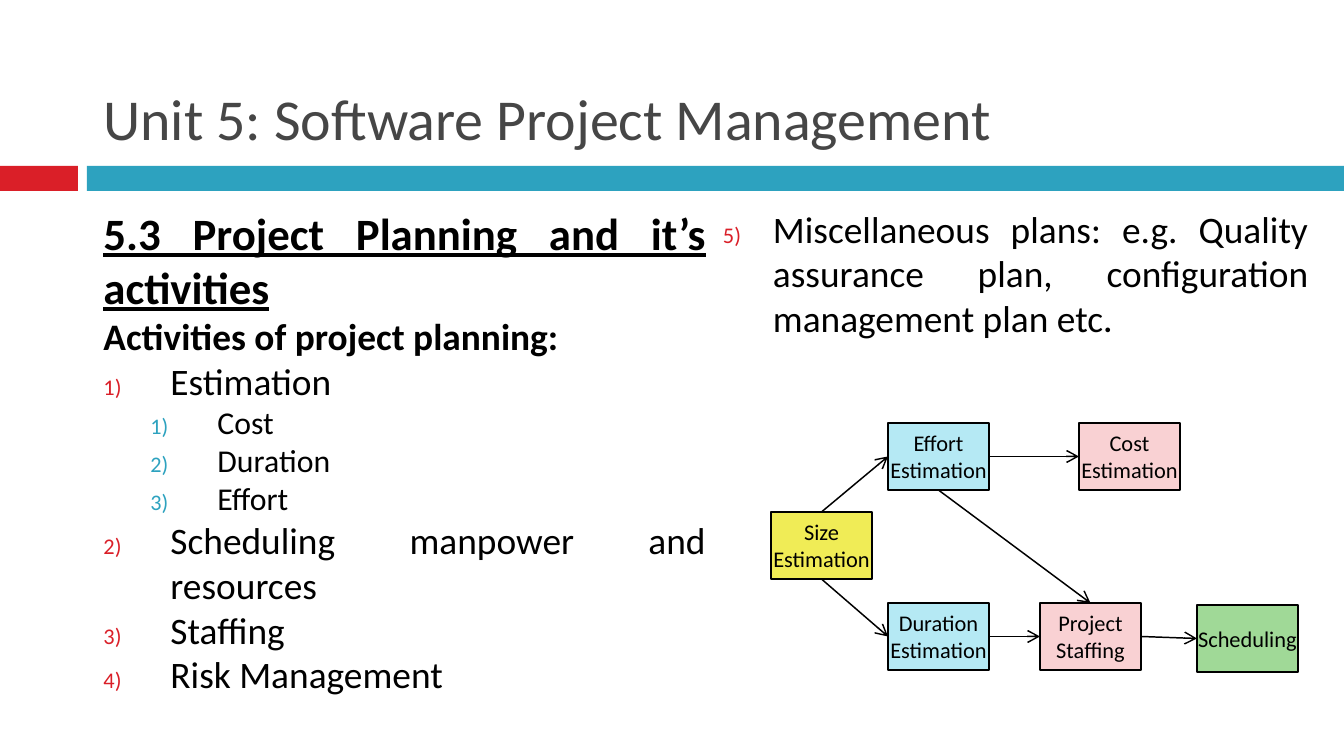
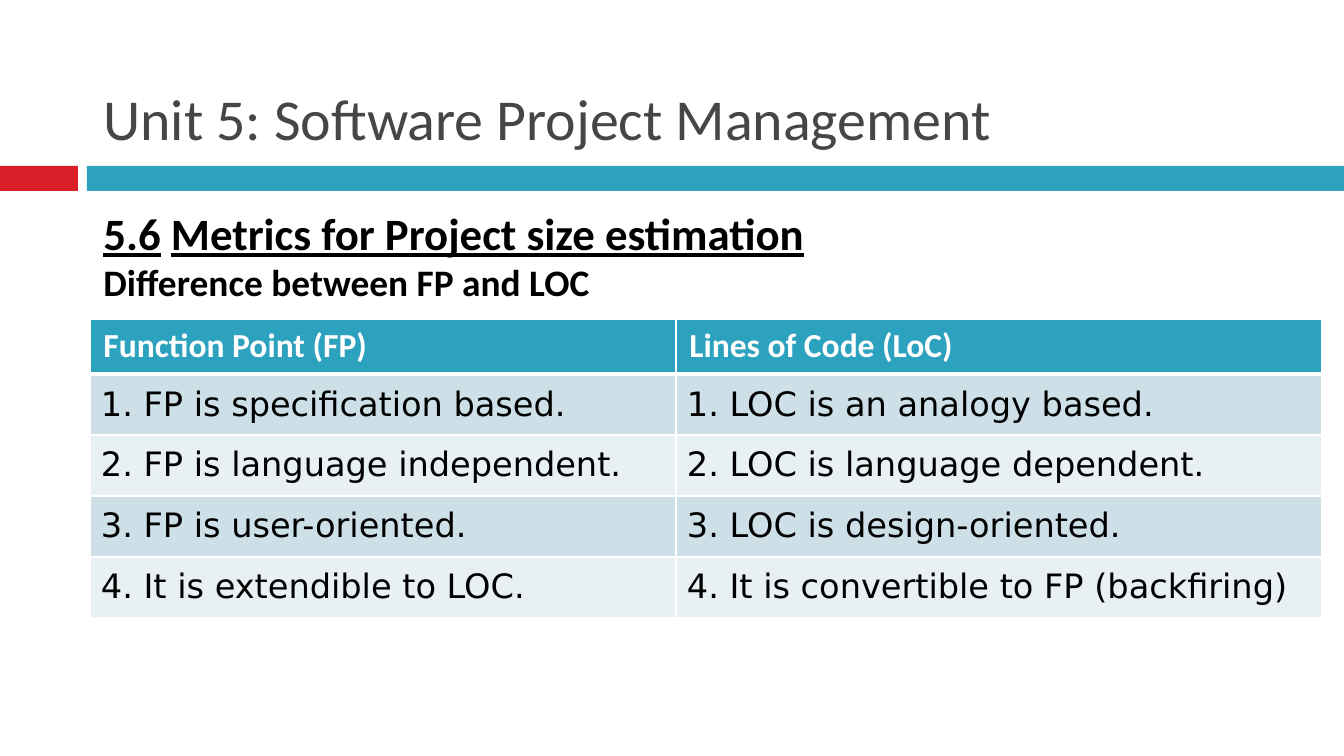
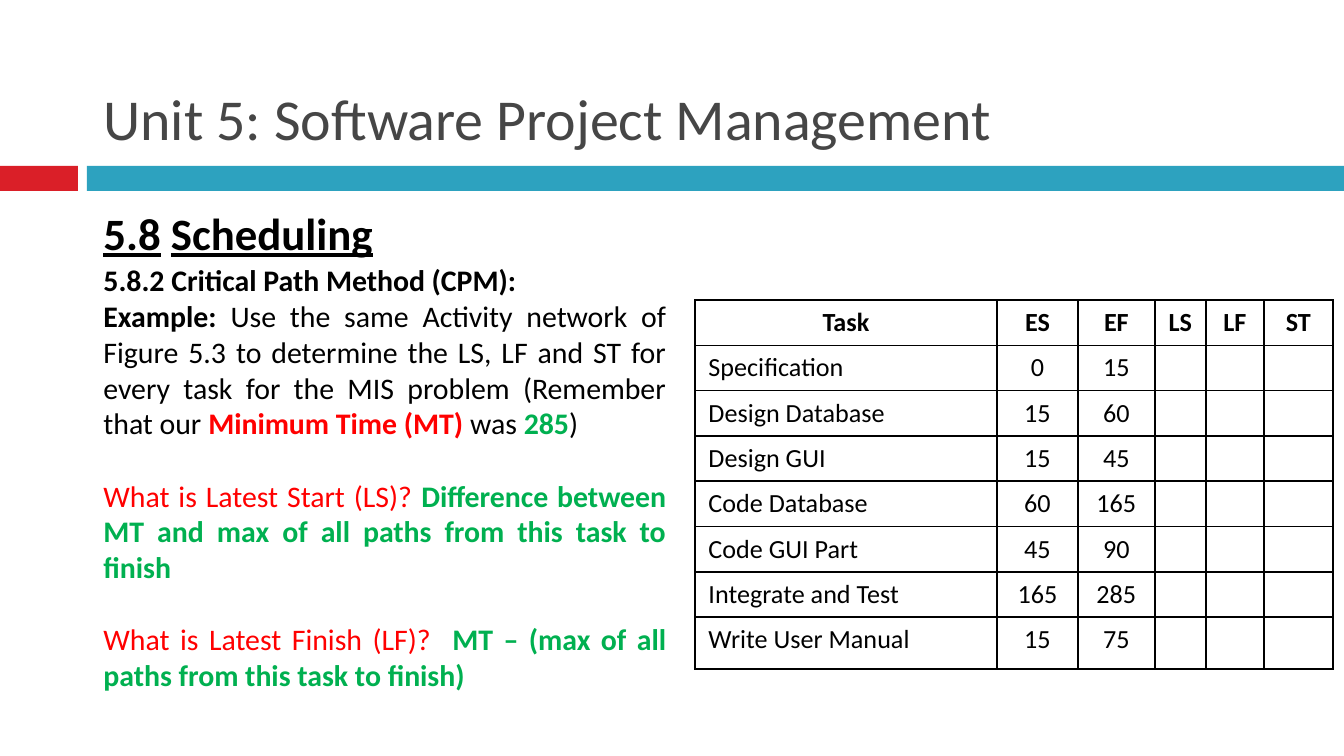
from dataclasses import dataclass

from lxml import etree
from pptx import Presentation
from pptx import util as u
from pptx.dml.color import RGBColor
from pptx.enum import shapes, text
from pptx.oxml.ns import qn

PX = 6804  # EMU in one px
SIDES = ("left", "top", "width", "height")
LEFT, CENTER, JUSTIFY = text.PP_ALIGN.LEFT, text.PP_ALIGN.CENTER, text.PP_ALIGN.JUSTIFY
TOP, BOTTOM = text.MSO_ANCHOR.TOP, text.MSO_ANCHOR.BOTTOM


@dataclass(frozen=True)
class Theme:
    font: str = "Calibri"
    table_font: str = "DejaVu Sans"
    ink: str = "000000"
    title_ink: str = "464646"
    white: str = "FFFFFF"
    red: str = "DA1F28"
    teal: str = "2DA2BF"
    question: str = "FF0000"
    answer: str = "00B050"
    yellow: str = "F0EC56"
    sky: str = "B5E9F4"
    pink: str = "F9D1D3"
    green: str = "A0D997"
    dark_row: str = "CDE0E8"
    light_row: str = "E8F0F4"
    title: int = 31
    heading: int = 24
    body: int = 20
    table: int = 18
    sub: int = 17
    example: int = 16
    schedule: int = 14
    node: int = 12


THEME = Theme()
PLAIN = {"name": THEME.font, "size": THEME.body, "bold": False, "underline": False, "color": THEME.ink}
BOLD = {"bold": True}
HEADING = {"size": THEME.heading, "bold": True, "underline": True}
HEADING_GAP = HEADING | {"underline": False}
EXAMPLE = {"size": THEME.example}
EXAMPLE_BOLD = EXAMPLE | BOLD
QUESTION = EXAMPLE | {"color": THEME.question}
ANSWER = EXAMPLE_BOLD | {"color": THEME.answer}


def write(para, spans, align=LEFT, before=0, level=0, left=0, hang=0, number=None, number_size=60):
    """Fill a paragraph with (text, format) spans; number is the colour of its list number."""
    props = para._p.get_or_add_pPr()
    props.set("marL", str(left * PX))
    props.set("indent", str(-hang * PX))
    if number:
        colour = etree.SubElement(props, qn("a:buClr"))
        etree.SubElement(colour, qn("a:srgbClr"), val=number)
        etree.SubElement(props, qn("a:buSzPct"), val=str(number_size * 1000))
        etree.SubElement(props, qn("a:buFont"), typeface=THEME.font)
        etree.SubElement(props, qn("a:buAutoNum"), type="arabicParenR")
    else:
        etree.SubElement(props, qn("a:buNone"))
    para.alignment, para.level = align, level
    para.space_before, para.space_after = u.Pt(before), u.Pt(0)
    for words, changes in spans:
        span = para.add_run()
        span.text = words
        for name, value in (PLAIN | changes).items():
            if name == "color":
                span.font.color.rgb = RGBColor.from_string(value)
            else:
                setattr(span.font, name, u.Pt(value) if name == "size" else value)


deck = Presentation()
deck.slide_width, deck.slide_height = 1344 * PX, 756 * PX
content, two_content = deck.slide_layouts[1], deck.slide_layouts[3]
planning, metrics, scheduling = pages = [
    deck.slides.add_slide(layout) for layout in (content, content, two_content)]

# Bands on the slide master
master_tree = deck.slide_master.shapes._spTree
for place, (left, width, colour) in enumerate(((0, 78, THEME.red), (87, 1257, THEME.teal))):
    band = planning.shapes.add_shape(
        shapes.MSO_SHAPE.RECTANGLE, left * PX, 166 * PX, width * PX, 25 * PX)
    band.shadow.inherit = False
    band.fill.solid()
    band.fill.fore_color.rgb = RGBColor.from_string(colour)
    band.line.fill.background()
    band._element.nvSpPr.cNvPr.set("id", str(100 + place))
    master_tree.insert(2 + place, band._element)

# Titles and lists
item = {"align": JUSTIFY, "left": 67, "hang": 67, "number": THEME.red}
sub_item = item | {"level": 1, "left": 114, "number": THEME.teal, "number_size": 70}
justified = {"align": JUSTIFY}
new_question = {"align": JUSTIFY, "before": 19.5}
title = [([("Unit 5: Software Project Management", {"size": THEME.title, "color": THEME.title_ink})], {})]

planning_list = [
    ([("5.3 Project Planning and it’s activities", HEADING)], justified),
    ([("Activities of project planning:", BOLD)], justified),
    ([("Estimation", {})], item),
    *(([(name, {"size": THEME.sub})], sub_item) for name in ("Cost", "Duration", "Effort")),
    *(([(name, {})], item)
      for name in ("Scheduling manpower and resources", "Staffing", "Risk Management")),
    ([("Miscellaneous plans: e.g. Quality assurance plan, configuration management plan etc", {}),
      (".", {"size": THEME.sub, "bold": True})], item | {"hang": 50}),
]
metrics_list = [
    ([("5.6", HEADING), (" ", HEADING_GAP), ("Metrics for Project size estimation", HEADING)], justified),
    ([("Difference between FP and LOC", BOLD)], justified),
]
scheduling_heading = [([("5.8", HEADING), (" ", HEADING_GAP), ("Scheduling", HEADING)], justified)]
critical_path = [
    ([("5.8.2 Critical Path Method (CPM):", EXAMPLE_BOLD)], {}),
    ([("Example: ", EXAMPLE_BOLD),
      ("Use the same Activity network of Figure 5.3 to determine the LS, LF and ST for every task "
       "for the MIS problem (Remember that our ", EXAMPLE),
      ("Minimum Time (MT)", QUESTION | BOLD), (" was ", EXAMPLE), ("285", ANSWER), (")", EXAMPLE)],
     justified),
    ([("What is Latest Start (LS)? ", QUESTION),
      ("Difference between MT and max of all paths from this task to finish", ANSWER)], new_question),
    ([("What is Latest Finish (LF)?  ", QUESTION),
      ("MT – (max of all paths from this task to finish)", ANSWER)], new_question),
]

texts = [(page.shapes.title, (90, 42, 1199, 117), BOTTOM, 1, title) for page in pages]
texts += [
    (planning.placeholders[1], (90, 199, 1232, 538), TOP, 2, planning_list),
    (metrics.placeholders[1], (90, 199, 1232, 112), TOP, 1, metrics_list),
    (scheduling.placeholders[1], (90, 199, 1232, 67), TOP, 1, scheduling_heading),
    (scheduling.placeholders[2], (90, 255, 1153, 493), TOP, 2, critical_path),
]
for box, at, anchor, columns, paragraphs in texts:
    for side, length in zip(SIDES, at):
        setattr(box, side, length * PX)
    frame = box.text_frame
    frame.word_wrap, frame.auto_size, frame.vertical_anchor = True, text.MSO_AUTO_SIZE.NONE, anchor
    if columns > 1:
        frame._txBody.bodyPr.set("numCol", str(columns))
        frame._txBody.bodyPr.set("spcCol", "0")
    for place, (spans, layout) in enumerate(paragraphs):
        write(frame.add_paragraph() if place else frame.paragraphs[0], spans, **layout)

# Order of the planning activities
nodes = {}
for name, left, top, colour in (
        ("Size Estimation", 771, 512, THEME.yellow),
        ("Effort Estimation", 888, 423, THEME.sky),
        ("Cost Estimation", 1079, 423, THEME.pink),
        ("Duration Estimation", 888, 603, THEME.sky),
        ("Project Staffing", 1040, 603, THEME.pink),
        ("Scheduling", 1197, 605, THEME.green)):
    node = nodes[name] = planning.shapes.add_shape(
        shapes.MSO_SHAPE.RECTANGLE, left * PX, top * PX, 101 * PX, 67 * PX)
    node.shadow.inherit = False
    node.fill.solid()
    node.fill.fore_color.rgb = RGBColor.from_string(colour)
    node.line.color.rgb = RGBColor.from_string(THEME.ink)
    node.line.width = u.Pt(1.25)
    frame = node.text_frame
    frame.word_wrap, frame.vertical_anchor = True, text.MSO_ANCHOR.MIDDLE
    for side in ("left", "top", "right", "bottom"):
        setattr(frame, f"margin_{side}", 0)
    write(frame.paragraphs[0], [(name, {"size": THEME.node})], CENTER)

SITE_TOP, SITE_LEFT, SITE_BOTTOM, SITE_RIGHT = range(4)
for start, start_site, end, end_site in (
        ("Size Estimation", SITE_TOP, "Effort Estimation", SITE_LEFT),
        ("Effort Estimation", SITE_RIGHT, "Cost Estimation", SITE_LEFT),
        ("Size Estimation", SITE_BOTTOM, "Duration Estimation", SITE_LEFT),
        ("Duration Estimation", SITE_RIGHT, "Project Staffing", SITE_LEFT),
        ("Project Staffing", SITE_RIGHT, "Scheduling", SITE_LEFT),
        ("Effort Estimation", SITE_BOTTOM, "Project Staffing", SITE_TOP)):
    arrow = planning.shapes.add_connector(shapes.MSO_CONNECTOR.STRAIGHT, 0, 0, 0, 0)
    arrow.begin_connect(nodes[start], start_site)
    arrow.end_connect(nodes[end], end_site)
    arrow.line.color.rgb = RGBColor.from_string(THEME.ink)
    arrow.line.width = u.Pt(0.79)
    etree.SubElement(arrow.line._get_or_add_ln(), qn("a:tailEnd"), type="arrow")
    etree.SubElement(arrow._element.spPr, qn("a:effectLst"))

# Tables
comparison = [
    ("Function Point (FP)", "Lines of Code (LoC)"),
    ("1. FP is specification based.", "1. LOC is an analogy based."),
    ("2. FP is language independent.", "2. LOC is language dependent."),
    ("3. FP is user-oriented.", "3. LOC is design-oriented."),
    ("4. It is extendible to LOC.", "4. It is convertible to FP (backfiring)"),
]
schedule = [
    ("Task", "ES", "EF", "LS", "LF", "ST"),
    *((task, start, finish, "", "", "") for task, start, finish in (
        ("Specification", "0", "15"),
        ("Design Database", "15", "60"),
        ("Design GUI", "15", "45"),
        ("Code Database", "60", "165"),
        ("Code GUI Part", "45", "90"),
        ("Integrate and Test", "165", "285"),
        ("Write User Manual", "15", "75"))),
]
comparison_look = {
    "header": BOLD | {"size": THEME.table, "color": THEME.white},
    "cell": {"size": THEME.table, "name": THEME.table_font},
    "fills": [THEME.teal] + [THEME.dark_row, THEME.light_row] * 2,
    "border": THEME.white, "header_rule": 3, "margin": 11, "centred": False}
schedule_look = {
    "header": BOLD | {"size": THEME.schedule},
    "cell": {"size": THEME.schedule},
    "fills": [None] * len(schedule),
    "border": THEME.ink, "header_rule": 1, "margin": None, "centred": True}

for page, left, top, widths, heights, rows, look in (
        (metrics, 90, 319, (586, 646), [55] * 5, comparison, comparison_look),
        (scheduling, 695, 300, (302, 81, 77, 51, 58, 69), [39] + [43] * 6 + [52], schedule, schedule_look)):
    table = page.shapes.add_table(
        len(rows), len(widths), left * PX, top * PX, sum(widths) * PX, sum(heights) * PX).table
    table.horz_banding = False
    for column, width in zip(table.columns, widths):
        column.width = width * PX
    for r, (height, row, fill) in enumerate(zip(heights, rows, look["fills"])):
        table.rows[r].height = height * PX
        for c, words in enumerate(row):
            cell = table.cell(r, c)
            if r and look["margin"]:
                for side in ("left", "top", "right", "bottom"):
                    setattr(cell, f"margin_{side}", look["margin"] * PX)
            form = look["cell"] if r else look["header"]
            para = cell.text_frame.paragraphs[0]
            centred = look["centred"] and (c > 0 or r == 0)
            write(para, [(words, form)] if words else [], CENTER if centred else LEFT)
            etree.SubElement(para._p, qn("a:endParaRPr"), sz=str(form["size"] * 100))
            props = cell._tc.get_or_add_tcPr()
            for edge in "LRTB":
                under_header = (r, edge) in ((0, "B"), (1, "T"))
                weight = look["header_rule"] if under_header else 1
                rule = etree.SubElement(props, qn(f"a:ln{edge}"), w=str(u.Pt(weight)))
                paint = etree.SubElement(rule, qn("a:solidFill"))
                etree.SubElement(paint, qn("a:srgbClr"), val=look["border"])
            if fill:
                cell.fill.solid()
                cell.fill.fore_color.rgb = RGBColor.from_string(fill)
            else:
                cell.fill.background()

deck.save("out.pptx")
